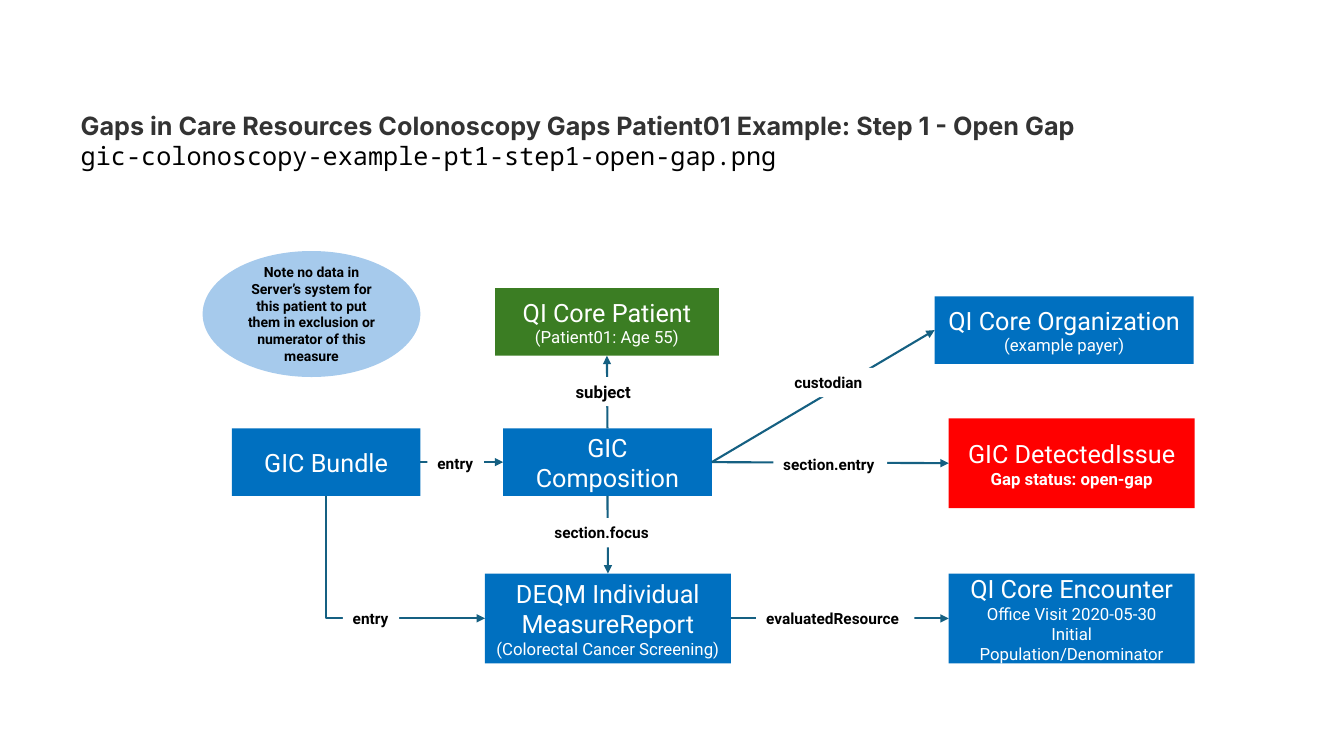
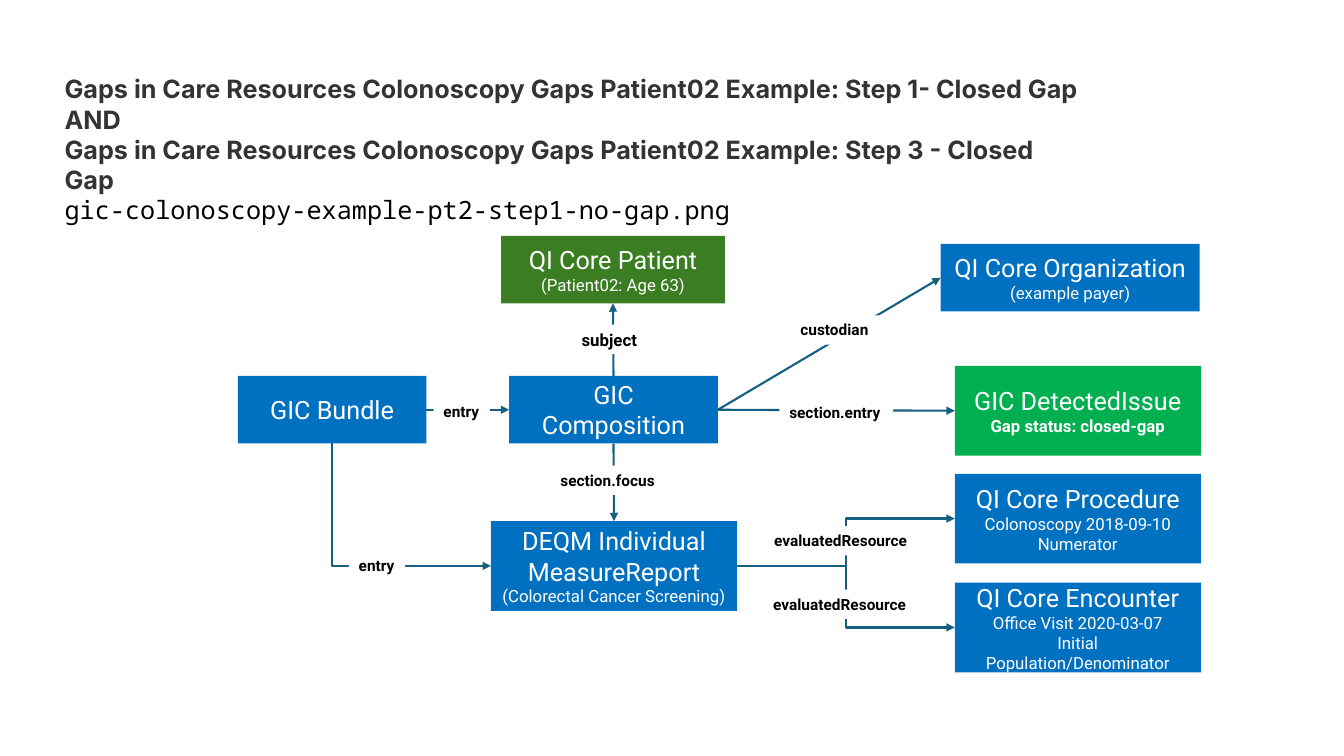
from lxml.etree import SubElement
from pptx import Presentation
from pptx.dml.color import RGBColor
from pptx.enum.shapes import MSO_CONNECTOR as Conn, MSO_SHAPE as Shape
from pptx.enum.text import MSO_ANCHOR as Anchor, MSO_AUTO_SIZE as Fit, PP_ALIGN as Align
from pptx.oxml.ns import qn
from pptx.util import Inches, Pt

BLUE = RGBColor(0x00, 0x70, 0xC0)
FOREST = RGBColor(0x3B, 0x7D, 0x23)
RED = RGBColor(0xFF, 0x00, 0x00)
GREEN = RGBColor(0x00, 0xB0, 0x50)
SKY = RGBColor(0xA6, 0xCA, 0xEC)
TEAL = RGBColor(0x15, 0x60, 0x82)
GREY = RGBColor(0x33, 0x33, 0x33)
BLACK = RGBColor(0x00, 0x00, 0x00)
WHITE = RGBColor(0xFF, 0xFF, 0xFF)

TOP, LEFT, BASE, RIGHT = range(4)


def style(par, face, size, ink, bold, align):
    par.alignment = align
    for run in par.runs:
        run.font.name = face
        run.font.size = Pt(size)
        run.font.color.rgb = ink
        run.font.bold = bold


def block(slide, kind, area, fill, text):
    node = slide.shapes.add_shape(kind, *[Inches(n) for n in area])
    node.shadow.inherit = False
    node.fill.solid()
    node.fill.fore_color.rgb = fill
    node.line.fill.background()
    node.text_frame.word_wrap = True
    node.text_frame.vertical_anchor = Anchor.MIDDLE
    node.text_frame.text = text
    return node


NODES = {
    "bundle": (2.3, 4.25, 1.87, 0.67, BLUE, "GIC Bundle"),
    "comp": (4.99, 4.25, 2.07, 0.67, BLUE, "GIC Composition"),
    "report": (4.81, 5.69, 2.44, 0.89, BLUE,
               "DEQM Individual MeasureReport\n(Colorectal Cancer Screening)"),
    "org": (9.27, 2.94, 2.57, 0.67, BLUE, "QI Core Organization\n(example payer)"),
}
LINKS = [
    ("bundle", RIGHT, "comp", LEFT),
    ("comp", TOP, "patient", BASE),
    ("comp", BASE, "report", TOP),
    ("comp", RIGHT, "org", LEFT),
    ("comp", RIGHT, "issue", LEFT),
]
LABELS = [
    ("subject", 5.61, 3.74, 0.78, 12),
    ("entry", 3.4, 5.99, 0.56, 11),
    ("entry", 4.24, 4.46, 0.56, 11),
    ("section.focus", 5.4, 5.14, 1.16, 11),
    ("custodian", 7.78, 3.65, 0.9, 11),
    ("section.entry", 7.67, 4.47, 1.13, 11),
]
VISIT = "QI Core Encounter\nOffice Visit {}\nInitial Population/Denominator"

STEPS = [
    {
        "title": "Gaps in Care Resources Colonoscopy Gaps Patient01 Example: Step 1 - Open Gap\n"
                 "gic-colonoscopy-example-pt1-step1-open-gap.png",
        "area": (0.7, 1.04, 10.13, 0.71),
        "shift": (0, 0),
        "who": "(Patient01: Age 55)",
        "state": ("open-gap", RED),
        "facts": [(5.69, VISIT.format("2020-05-30"))],
        "tags": [(7.5, 5.99)],
        "note": "Note no data in Server’s system for this patient to put them "
                "in exclusion or numerator of this measure",
    },
    {
        "title": "Gaps in Care Resources Colonoscopy Gaps Patient02 Example: Step 1- Closed Gap\n"
                 "AND\n"
                 "Gaps in Care Resources Colonoscopy Gaps Patient02 Example: Step 3 - Closed Gap\n"
                 "gic-colonoscopy-example-pt2-step1-no-gap.png",
        "area": (0.54, 0.68, 10.33, 1.31),
        "shift": (0.06, -0.52),
        "who": "(Patient02: Age 63)",
        "state": ("closed-gap", GREEN),
        "facts": [(5.22, "QI Core Procedure\nColonoscopy 2018-09-10\nNumerator"),
                  (6.3, VISIT.format("2020-03-07"))],
        "tags": [(7.52, 5.74), (7.51, 6.37)],
        "note": None,
    },
]

deck = Presentation()
deck.slide_width, deck.slide_height = Inches(13.33), Inches(7.5)

for step in STEPS:
    slide = deck.slides.add_slide(deck.slide_layouts[5])
    dx, dy = step["shift"]

    title = slide.shapes.title
    title.left, title.top, title.width, title.height = [Inches(n) for n in step["area"]]
    frame = title.text_frame
    frame.text = step["title"]
    frame.word_wrap = True
    frame.auto_size = Fit.NONE
    frame.vertical_anchor = Anchor.TOP
    for par in frame.paragraphs[:-1]:
        style(par, "Inter", 18, GREY, True, Align.LEFT)
    style(frame.paragraphs[-1], "Noto Sans Mono", 18, BLACK, False, Align.LEFT)

    state, tone = step["state"]
    nodes = NODES | {
        "patient": (4.91, 2.86, 2.22, 0.67, FOREST, "QI Core Patient\n" + step["who"]),
        "issue": (9.41, 4.15, 2.44, 0.89, tone, "GIC DetectedIssue\nGap status: " + state),
    }
    links = [(*link, Conn.STRAIGHT) for link in LINKS]
    for num, (y, text) in enumerate(step["facts"]):
        nodes[f"fact{num}"] = (9.41, y, 2.44, 0.89, BLUE, text)
        links.append(("report", RIGHT, f"fact{num}", LEFT, Conn.ELBOW))
    links.append(("report", LEFT, "bundle", BASE, Conn.ELBOW))

    made = {}
    for name, (x, y, w, h, fill, text) in nodes.items():
        node = block(slide, Shape.RECTANGLE, (x + dx, y + dy, w, h), fill, text)
        head, *rest = node.text_frame.paragraphs
        style(head, "Roboto", 18, WHITE, False, Align.CENTER)
        for par in rest:
            style(par, "Roboto", 12, WHITE, name == "issue", Align.CENTER)
        made[name] = node

    for start, out, end, into, kind in links:
        line = slide.shapes.add_connector(kind, 0, 0, 0, 0)
        line.begin_connect(made[start], out)
        line.end_connect(made[end], into)
        line.line.width = Pt(1.5)
        line.line.color.rgb = TEAL
        props = line.element.spPr
        tip = "a:tailEnd"
        if end == "bundle":
            props.find(qn("a:prstGeom")).set("prst", "bentConnector2")
            tip = "a:headEnd"
        SubElement(props.find(qn("a:ln")), qn(tip)).set("type", "triangle")
        SubElement(props, qn("a:effectLst"))

    tags = [("evaluatedResource", x, y, 1.57, 11) for x, y in step["tags"]]
    for text, x, y, w, size in LABELS + tags:
        label = slide.shapes.add_textbox(Inches(x + dx), Inches(y + dy), Inches(w), Inches(0.29))
        label.fill.solid()
        label.fill.fore_color.rgb = WHITE
        label.text_frame.text = text
        label.text_frame.word_wrap = False
        label.text_frame.auto_size = Fit.SHAPE_TO_FIT_TEXT
        style(label.text_frame.paragraphs[0], "Roboto", size, BLACK, True, Align.LEFT)

    if step["note"]:
        note = block(slide, Shape.OVAL, (2.01, 2.49, 2.16, 1.25), SKY, step["note"])
        style(note.text_frame.paragraphs[0], "Roboto", 10, BLACK, True, Align.CENTER)

deck.save("out.pptx")
